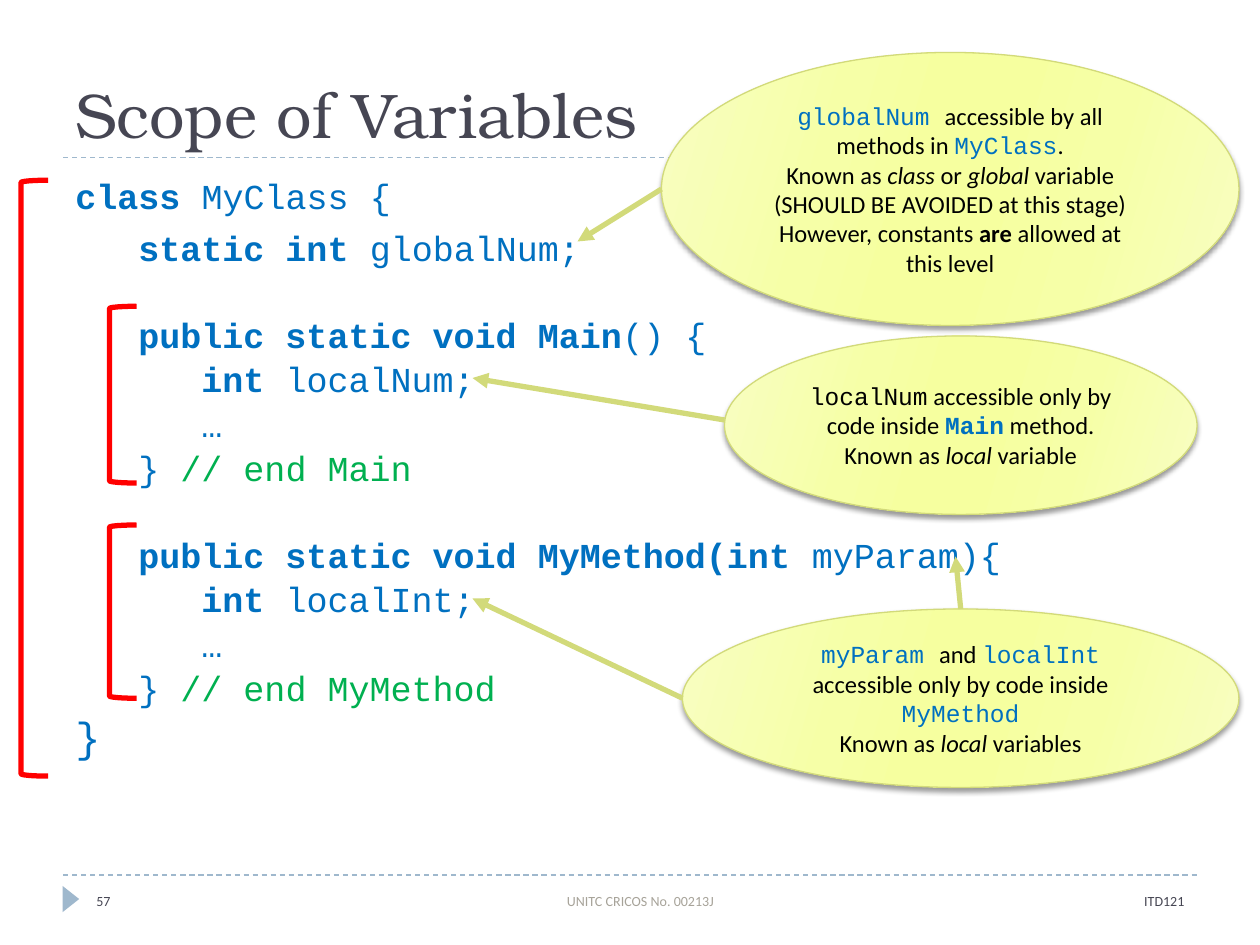
from dataclasses import dataclass
from typing import NamedTuple

from lxml import etree
from pptx import Presentation
from pptx.dml.color import RGBColor
from pptx.enum.dml import MSO_LINE
from pptx.enum.shapes import MSO_CONNECTOR, MSO_SHAPE
from pptx.enum.text import MSO_ANCHOR, PP_ALIGN
from pptx.oxml import parse_xml
from pptx.oxml.ns import nsdecls, qn
from pptx.util import Pt

LEFT, CENTER, RIGHT = PP_ALIGN.LEFT, PP_ALIGN.CENTER, PP_ALIGN.RIGHT
TOP, MIDDLE, BOTTOM = MSO_ANCHOR.TOP, MSO_ANCHOR.MIDDLE, MSO_ANCHOR.BOTTOM
STRAIGHT, DASH = MSO_CONNECTOR.STRAIGHT, MSO_LINE.DASH
OVAL, BRACKET = MSO_SHAPE.OVAL, MSO_SHAPE.LEFT_BRACKET
TRIANGLE = MSO_SHAPE.ISOSCELES_TRIANGLE

SLATE = RGBColor(0x46, 0x46, 0x53)
STEEL = RGBColor(0x9F, 0xB8, 0xCD)
STONE = RGBColor(0xA7, 0xA3, 0x99)
BLUE = RGBColor(0x00, 0x70, 0xC0)
GREEN = RGBColor(0x00, 0xB0, 0x50)
BLACK = RGBColor(0x00, 0x00, 0x00)
RED = RGBColor(0xFF, 0x00, 0x00)
OLIVE = RGBColor(0xD2, 0xDA, 0x7A)
EDGE_YELLOW = RGBColor(0xF8, 0xFE, 0xC2)
MID_YELLOW = RGBColor(0xF6, 0xFF, 0xA7)
CORE_YELLOW = RGBColor(0xF6, 0xFF, 0x9F)
CALLOUT_STOPS = [(0, EDGE_YELLOW), (30, MID_YELLOW), (45, CORE_YELLOW),
                 (55, CORE_YELLOW), (73, MID_YELLOW), (100, EDGE_YELLOW)]

BODY, CODE, HEADING = "Calibri", "Courier New", "TeX Gyre Bonum"


class Box(NamedTuple):
    left: float
    top: float
    width: float
    height: float


@dataclass(frozen=True)
class Span:
    text: str
    font: str = BODY
    color: RGBColor = BLACK
    size: float = 14
    bold: bool = False
    italic: bool = False


@dataclass(frozen=True)
class Line:
    spans: list[Span]
    space_before: float = 0


@dataclass(frozen=True)
class Callout:
    box: Box
    lines: list[Line]
    arrows: list[tuple[float, float, float, float]]


def code(text: str, bold: bool = False, color: RGBColor = BLUE, size: float = 20) -> Span:
    return Span(text, CODE, color, size, bold)


def term(text: str, color: RGBColor = BLUE, bold: bool = False) -> Span:
    """Code word inside a callout."""
    return code(text, bold, color, 14)


def known_as_local(noun: str) -> Line:
    return Line([Span("Known as "), Span("local ", italic=True), Span(noun)])


def write(frame, lines: list[Line], align=LEFT, anchor=TOP) -> None:
    frame.word_wrap = True
    frame.vertical_anchor = anchor
    for index, line in enumerate(lines):
        paragraph = frame.paragraphs[0] if index == 0 else frame.add_paragraph()
        paragraph.alignment = align
        paragraph.space_before = Pt(line.space_before)
        for span in line.spans:
            run = paragraph.add_run()
            run.text = span.text
            font = run.font
            font.name, font.size, font.color.rgb = span.font, Pt(span.size), span.color
            font.bold, font.italic = span.bold, span.italic


def add_text(slide, box: Box, lines: list[Line], align=LEFT, anchor=TOP) -> None:
    write(slide.shapes.add_textbox(*map(Pt, box)).text_frame, lines, align, anchor)


def add_line(slide, ends: tuple[float, float, float, float], color: RGBColor, width: float):
    connector = slide.shapes.add_connector(STRAIGHT, *map(Pt, ends))
    connector.line.color.rgb = color
    connector.line.width = Pt(width)
    etree.SubElement(connector._element.spPr, qn("a:effectLst"))
    return connector


def add_rule(slide, y: float) -> None:
    add_line(slide, (36, y, 684, y), STEEL, 0.75).line.dash_style = DASH


def add_arrow(slide, ends: tuple[float, float, float, float]) -> None:
    arrow = add_line(slide, ends, OLIVE, 3)
    etree.SubElement(arrow.line._get_or_add_ln(), qn("a:tailEnd"), type="triangle")


def add_bracket(slide, box: Box) -> None:
    bracket = slide.shapes.add_shape(BRACKET, *map(Pt, box))
    bracket.shadow.inherit = False
    bracket.fill.background()
    bracket.line.color.rgb = RED
    bracket.line.width = Pt(3)


def add_callout(slide, callout: Callout) -> None:
    """Draw a shaded oval with a soft shadow, its text and its arrows."""
    oval = slide.shapes.add_shape(OVAL, *map(Pt, callout.box))
    oval.line.color.rgb = OLIVE
    oval.line.width = Pt(0.75)
    stops = "".join(f'<a:gs pos="{pos * 1000}"><a:srgbClr val="{color}"/></a:gs>'
                    for pos, color in CALLOUT_STOPS)
    properties = oval._element.spPr
    properties.find(qn("a:ln")).addprevious(parse_xml(
        f'<a:gradFill {nsdecls("a")} rotWithShape="1"><a:gsLst>{stops}</a:gsLst>'
        f'<a:lin ang="{16 * 60000}" scaled="0"/></a:gradFill>'))
    properties.append(parse_xml(
        f'<a:effectLst {nsdecls("a")}><a:outerShdw blurRad="{Pt(3)}" dist="{Pt(2)}" '
        f'dir="{90 * 60000}" rotWithShape="0"><a:srgbClr val="{BLACK}">'
        '<a:alpha val="40000"/></a:srgbClr></a:outerShdw></a:effectLst>'))
    write(oval.text_frame, callout.lines, CENTER, MIDDLE)
    for ends in callout.arrows:
        add_arrow(slide, ends)


GAP = 1.35
CODE_LINES = [
    Line([code("class", True), code(" MyClass {")], 5),
    Line([code("\t"), code("static int", True), code(" globalNum;")], 6),
    Line([code("\t"), code("public static void Main", True), code("() {")], 25.5),
    Line([code("\t\t"), code("int", True), code(" localNum;")], GAP),
    Line([code("\t\t…")], GAP),
    Line([code("\t} "), code("// end Main", color=GREEN)], GAP),
    Line([code("\t"), code("public static void MyMethod(int", True),
          code(" myParam){")], 25.5),
    Line([code("\t\t"), code("int", True), code(" localInt;")], GAP),
    Line([code("\t\t…")], GAP),
    Line([code("\t}"), code(" // end MyMethod", color=GREEN)], GAP),
    Line([code("}", size=24)], GAP),
]
CALLOUTS = [
    Callout(Box(378, 30, 330, 156), [
        Line([term("globalNum "), Span("accessible by all methods in "),
              term("MyClass"), Span(".")]),
        Line([Span("Known as "), Span("class ", italic=True), Span("or "),
              Span("global ", italic=True),
              Span("variable (SHOULD BE AVOIDED at this stage)")]),
        Line([Span("However, constants "), Span("are", bold=True),
              Span(" allowed at this level")]),
    ], [(378, 108, 330, 138)]),
    Callout(Box(414, 192, 270, 102), [
        Line([term("localNum", BLACK), Span(" accessible only by code inside "),
              term("Main", bold=True), Span(" method.")]),
        known_as_local("variable"),
    ], [(414, 240, 270, 216)]),
    Callout(Box(390, 348, 318, 102), [
        Line([term("myParam "), Span("and "), term("localInt"),
              Span(" accessible only by code inside "), term("MyMethod")]),
        known_as_local("variables"),
    ], [(390, 399, 270, 342), (549, 348, 546, 318)]),
]
SCOPES = [Box(12, 103, 15.5, 340.5), Box(62.5, 175, 15.5, 101), Box(62.5, 300, 15.5, 99)]
FOOTERS = [
    (504, 180, "ITD121", SLATE, RIGHT),
    (228, 276, "UNITC CRICOS No. 00213J", STONE, CENTER),
    (48, 156, "57", SLATE, LEFT),
]


def main() -> None:
    deck = Presentation()
    deck.slide_width, deck.slide_height = Pt(720), Pt(540)
    slide = deck.slides.add_slide(deck.slide_layouts[6])

    for y in (500, 90):
        add_rule(slide, y)
    marker = slide.shapes.add_shape(TRIANGLE, Pt(33), Pt(509), Pt(15), Pt(9.5))
    marker.rotation = 90
    marker.shadow.inherit = False
    marker.fill.solid()
    marker.fill.fore_color.rgb = STEEL
    marker.line.fill.background()

    add_text(slide, Box(36, 12, 648, 78),
             [Line([Span("Scope of Variables", HEADING, SLATE, 36)])], anchor=BOTTOM)
    for left, width, text, color, align in FOOTERS:
        add_text(slide, Box(left, 500.5, width, 28.5),
                 [Line([Span(text, color=color, size=8)])], align, MIDDLE)
    add_text(slide, Box(36, 96, 648, 389), CODE_LINES)
    for callout in CALLOUTS:
        add_callout(slide, callout)
    for scope in SCOPES:
        add_bracket(slide, scope)
    deck.save("out.pptx")


if __name__ == "__main__":
    main()
